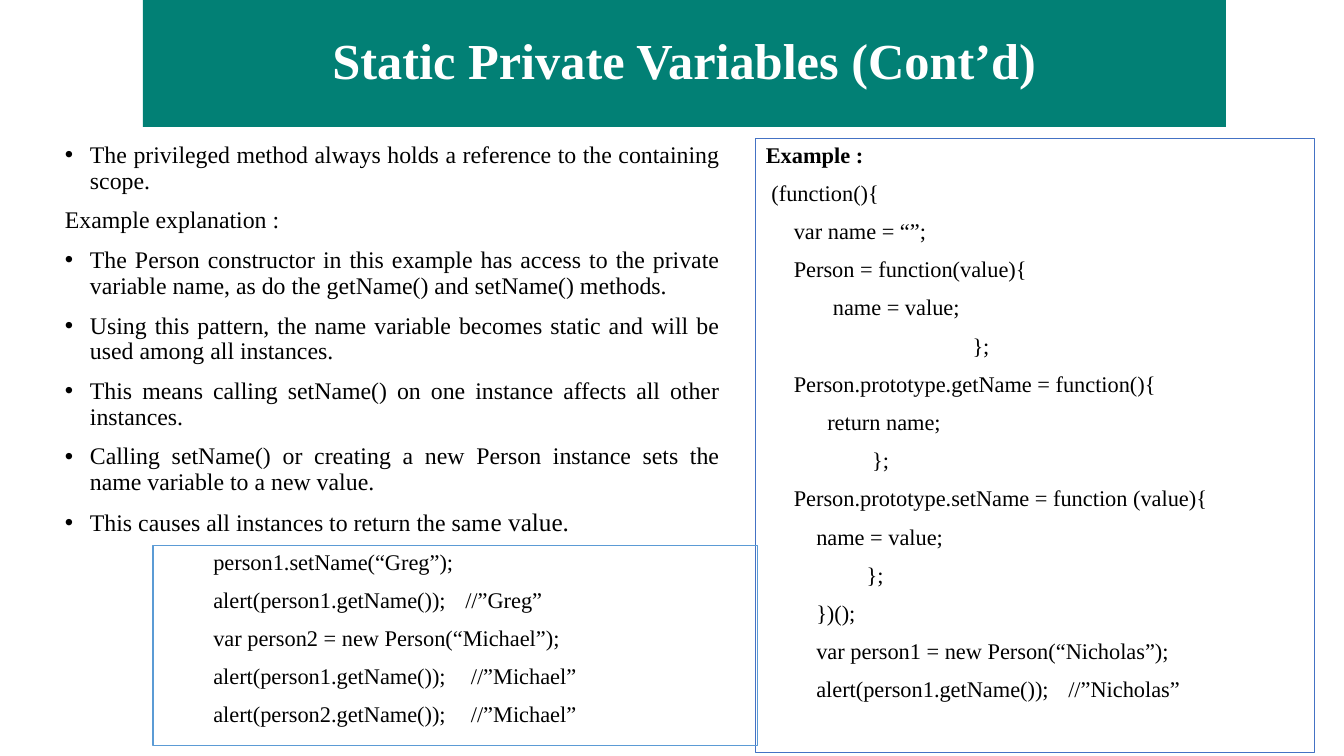
from lxml.etree import SubElement
from pptx import Presentation
from pptx.dml.color import RGBColor
from pptx.enum.shapes import MSO_SHAPE
from pptx.enum.text import MSO_ANCHOR, PP_ALIGN
from pptx.oxml.ns import qn
from pptx.util import Pt

EMU_PER_PX = 914400 / 100.8
FONT = "Times New Roman"
BLACK, WHITE, TEAL = "000000", "FFFFFF", "028075"
BLUE, LIGHT_BLUE = "4472C4", "5B9BD5"
BULLET_INDENT = 25

TITLE = "Static Private Variables (Cont’d)"

EXPLANATION = [
    ("The privileged method always holds a reference to the containing scope.", True),
    ("Example explanation :", False),
    ("The Person constructor in this example has access to the private variable name, "
     "as do the getName() and setName() methods.", True),
    ("Using this pattern, the name variable becomes static and will be used among "
     "all instances.", True),
    ("This means calling setName() on one instance affects all other instances.", True),
    ("Calling setName() or creating a new Person instance sets the name variable "
     "to a new value.", True),
    ("This causes all instances to return the sam", True),
]
LARGER_ENDING = "e value."

EXAMPLE_CODE = [
    " (function(){",
    "     var name = “”;",
    "     Person = function(value){",
    "            name = value;",
    "                                     };",
    "     Person.prototype.getName = function(){",
    "           return name;",
    "\t\t };",
    "     Person.prototype.setName = function (value){",
    "\tname = value;",
    "\t\t};",
    "\t})();",
    "\tvar person1 = new Person(“Nicholas”);",
    "\talert(person1.getName()); \t//”Nicholas”",
]

USAGE_CODE = [
    "\tperson1.setName(“Greg”);",
    "\talert(person1.getName()); \t//”Greg”",
    "\tvar person2 = new Person(“Michael”);",
    "\talert(person1.getName());\t //”Michael”",
    "\talert(person2.getName());\t //”Michael”",
]


def px(length):
    return round(length * EMU_PER_PX)


def color(hex_value):
    return RGBColor.from_string(hex_value)


def add_run(paragraph, text, size=16, ink=BLACK, bold=False):
    run = paragraph.add_run()
    run.text = text
    run.font.name = FONT
    run.font.size = Pt(size)
    run.font.bold = bold
    run.font.color.rgb = color(ink)


def add_text(frame, text, align=PP_ALIGN.LEFT, bullet=False, **run_format):
    first = not frame.paragraphs[0].runs
    paragraph = frame.paragraphs[0] if first else frame.add_paragraph()
    paragraph.alignment = align
    paragraph.line_spacing = 0.9
    paragraph.space_before = Pt(0 if first else 10)
    if bullet:
        properties = paragraph._p.get_or_add_pPr()
        properties.set("marL", str(px(BULLET_INDENT)))
        properties.set("indent", str(-px(BULLET_INDENT)))
        SubElement(properties, qn("a:buFont")).set("typeface", "Arial")
        SubElement(properties, qn("a:buChar")).set("char", "•")
    add_run(paragraph, text, **run_format)
    return paragraph


def add_panel(slide, box, fill=None, outline=None, anchor=MSO_ANCHOR.TOP):
    panel = slide.shapes.add_shape(MSO_SHAPE.RECTANGLE, *map(px, box))
    panel.shadow.inherit = False
    if fill:
        panel.fill.solid()
        panel.fill.fore_color.rgb = color(fill)
    else:
        panel.fill.background()
    if outline:
        panel.line.color.rgb = color(outline)
        panel.line.width = Pt(0.75)
    else:
        panel.line.fill.background()
    panel.text_frame.word_wrap = True
    panel.text_frame.vertical_anchor = anchor
    return panel.text_frame


def add_title(slide, box):
    banner = add_panel(slide, box, fill=TEAL, anchor=MSO_ANCHOR.MIDDLE)
    add_text(banner, TITLE, align=PP_ALIGN.CENTER, size=36, ink=WHITE, bold=True)


def add_explanation(slide, box):
    frame = slide.shapes.add_textbox(*map(px, box)).text_frame
    frame.word_wrap = True
    for sentence, bullet in EXPLANATION:
        closing = add_text(frame, sentence, align=PP_ALIGN.JUSTIFY, bullet=bullet, size=17)
    add_run(closing, LARGER_ENDING, size=18)


def add_code(slide, box, lines, outline, heading=None):
    frame = add_panel(slide, box, outline=outline)
    if heading:
        add_text(frame, heading, bold=True)
    for line in lines:
        add_text(frame, line)


def main():
    deck = Presentation()
    deck.slide_width, deck.slide_height = px(1344), px(756)
    slide = deck.slides.add_slide(deck.slide_layouts[6])
    add_explanation(slide, (55, 138, 675, 400))
    add_title(slide, (143, 0, 1083, 127))
    add_code(slide, (756, 139, 559, 614), EXAMPLE_CODE, BLUE, heading="Example :")
    add_code(slide, (153, 546, 605, 200), USAGE_CODE, LIGHT_BLUE)
    deck.save("out.pptx")


if __name__ == "__main__":
    main()
